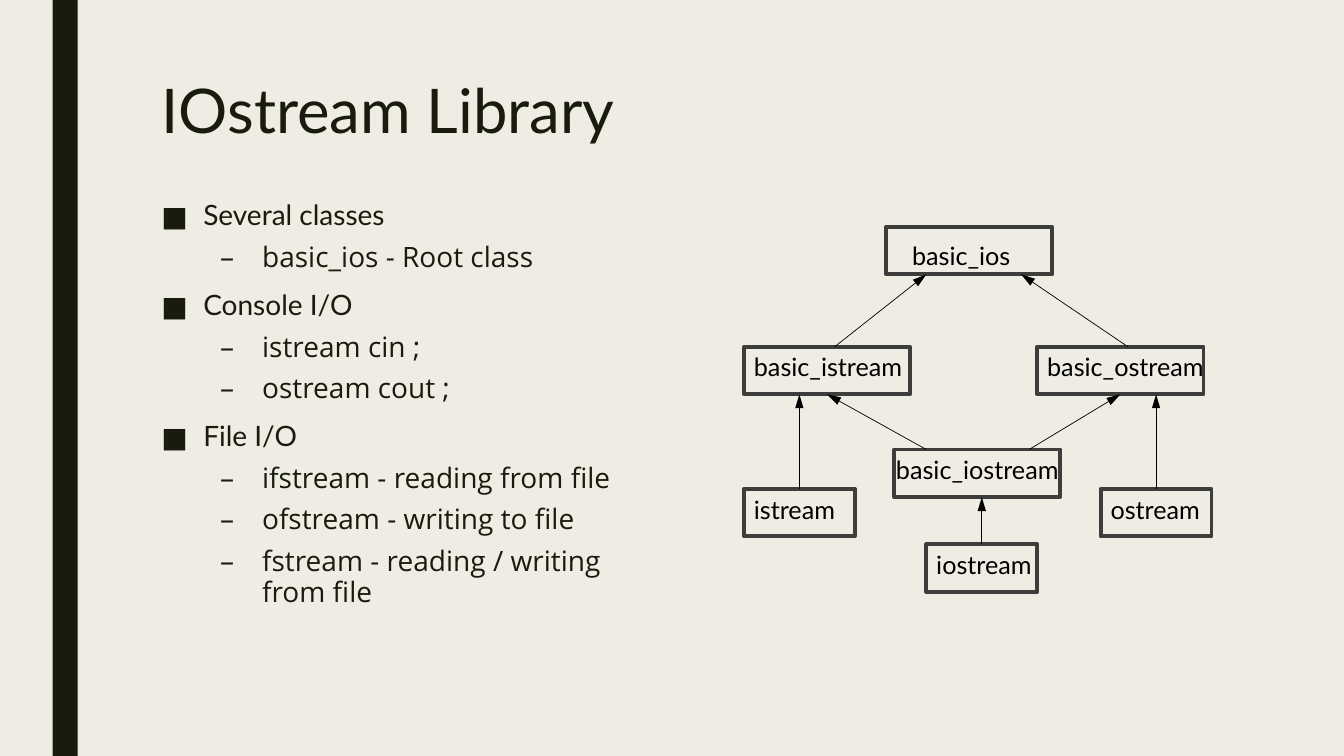
"""Build the IOstream Library slide with its class hierarchy diagram."""
from dataclasses import dataclass

from lxml.etree import SubElement
from pptx import Presentation
from pptx.dml.color import RGBColor
from pptx.enum.shapes import MSO_CONNECTOR as Conn, MSO_SHAPE as Shp
from pptx.enum.text import MSO_ANCHOR as Anchor, MSO_AUTO_SIZE as Auto, PP_ALIGN as Align
from pptx.oxml.ns import qn
from pptx.shapes.autoshape import Shape
from pptx.slide import Slide
from pptx.text.text import TextFrame, _Paragraph as Paragraph
from pptx.util import Pt


@dataclass(frozen=True)
class Theme:
    paper: RGBColor = RGBColor(0xEF, 0xED, 0xE3)
    ink: RGBColor = RGBColor(0x19, 0x1B, 0x0E)
    frame: RGBColor = RGBColor(0x3D, 0x3E, 0x3B)
    black: RGBColor = RGBColor(0, 0, 0)
    head_font: str = "Lato"
    sub_font: str = "Open Sans"
    title_size: float = 44
    body_size: float = 20
    label_size: float = 18
    frame_width: float = 2.75
    arrow_width: float = 0.5


@dataclass(frozen=True)
class ListLevel:
    font: str
    bullet: str
    indent: float
    before: float


@dataclass(frozen=True)
class ClassBox:
    name: str
    x: float
    y: float
    w: float
    label_w: float
    dx: float = 0
    dy: float = 0


@dataclass(frozen=True)
class Arrow:
    child: str
    parent: str
    x1: float
    y1: float
    x2: float
    y2: float
    from_middle: bool = False
    to_middle: bool = False


THEME = Theme()
TOP, BOTTOM = 0, 2
BOX_H, LABEL_H = 34, 29
WIDE, NARROW = 118.8, 79.2
LONG_LABEL, SHORT_LABEL = 132, 96.5
LEFT_X, RIGHT_X = 531.4, 740.9
ROOT_Y, STREAM_Y, BOTH_Y, LEAF_Y, LOW_Y = 162, 247.7, 321.1, 349.2, 388.8
LEVELS = [
    ListLevel(THEME.head_font, "■", 30, 10),
    ListLevel(THEME.sub_font, "–", 72, 5),
]
HANGING = 30
OUTLINE = {
    "Several classes": ["basic_ios - Root class"],
    "Console I/O": ["istream cin ;", "ostream cout ;"],
    "File I/O": [
        "ifstream - reading from file",
        "ofstream - writing to file",
        "fstream - reading / writing from file",
    ],
}
BOXES = [
    ClassBox("basic_ostream", RIGHT_X, STREAM_Y, WIDE, LONG_LABEL),
    ClassBox("basic_istream", LEFT_X, STREAM_Y, WIDE, LONG_LABEL),
    ClassBox("basic_ios", 632.9, ROOT_Y, WIDE, SHORT_LABEL, 11.5, 5.8),
    ClassBox("basic_iostream", 638.6, BOTH_Y, WIDE, LONG_LABEL, -5.7),
    ClassBox("iostream", 661.7, LOW_Y, NARROW, SHORT_LABEL),
    ClassBox("istream", LEFT_X, LEAF_Y, NARROW, SHORT_LABEL),
    ClassBox("ostream", 786.2, LEAF_Y, NARROW, SHORT_LABEL),
]
ARROWS = [
    Arrow("basic_istream", "basic_ios", 596.2, STREAM_Y, 661.7, ROOT_Y + BOX_H),
    Arrow("basic_ostream", "basic_ios", 805.7, STREAM_Y, 729.4, ROOT_Y + BOX_H),
    Arrow("basic_iostream", "basic_istream", 661.7, BOTH_Y, 590.8, STREAM_Y + BOX_H, to_middle=True),
    Arrow("basic_iostream", "basic_ostream", 735.1, BOTH_Y, 800.3, STREAM_Y + BOX_H, to_middle=True),
    Arrow("istream", "basic_istream", 571, LEAF_Y, 571, STREAM_Y + BOX_H, from_middle=True),
    Arrow("ostream", "basic_ostream", 825.8, LEAF_Y, 825.8, STREAM_Y + BOX_H, from_middle=True),
    Arrow("iostream", "basic_iostream", 701.3, LOW_Y, 701.3, BOTH_Y + BOX_H, from_middle=True),
]


def add_run(p: Paragraph, text: str, font: str, size: float, color: RGBColor) -> None:
    r = p.add_run()
    r.text = text
    r.font.name = font
    r.font.size = Pt(size)
    r.font.color.rgb = color


def place(sp: Shape, x: float, y: float, w: float, h: float) -> TextFrame:
    sp.left, sp.top, sp.width, sp.height = Pt(x), Pt(y), Pt(w), Pt(h)
    tf = sp.text_frame
    tf.word_wrap = True
    tf.auto_size = Auto.NONE
    tf.vertical_anchor = Anchor.TOP
    return tf


def add_item(p: Paragraph, text: str, depth: int) -> None:
    level = LEVELS[depth]
    p.level = depth
    p.line_spacing = 0.94
    p.space_before, p.space_after = Pt(level.before), Pt(2)
    pPr = p._p.get_or_add_pPr()
    pPr.set("marL", str(Pt(level.indent)))
    pPr.set("indent", str(-Pt(HANGING)))
    SubElement(pPr, qn("a:buFont")).set("typeface", level.font)
    SubElement(pPr, qn("a:buChar")).set("char", level.bullet)
    add_run(p, text, level.font, THEME.body_size, THEME.ink)


def fill_placeholders(s: Slide) -> None:
    tf = place(s.shapes.title, 108, 54, 756, 57.6)
    p = tf.paragraphs[0]
    p.alignment = Align.LEFT
    p.line_spacing = 0.89
    add_run(p, "IOstream Library", THEME.head_font, THEME.title_size, THEME.ink)
    tf = place(s.placeholders[1], 108, 139.7, 350, 322.6)
    items = [item for head, subs in OUTLINE.items()
             for item in [(head, 0), *((sub, 1) for sub in subs)]]
    for i, (text, depth) in enumerate(items):
        add_item(tf.add_paragraph() if i else tf.paragraphs[0], text, depth)


def add_rect(s: Slide, x: float, y: float, w: float, h: float) -> Shape:
    sp = s.shapes.add_shape(Shp.RECTANGLE, Pt(x), Pt(y), Pt(w), Pt(h))
    sp.shadow.inherit = False
    return sp


def add_box(s: Slide, box: ClassBox) -> Shape:
    sp = add_rect(s, box.x, box.y, box.w, BOX_H)
    sp.fill.background()
    sp.line.color.rgb = THEME.frame
    sp.line.width = Pt(THEME.frame_width)
    label = s.shapes.add_textbox(Pt(box.x + box.dx), Pt(box.y + box.dy), Pt(box.label_w), Pt(LABEL_H))
    tf = label.text_frame
    tf.word_wrap = True
    tf.auto_size = Auto.SHAPE_TO_FIT_TEXT
    add_run(tf.paragraphs[0], box.name, THEME.head_font, THEME.label_size, THEME.black)
    return sp


def add_arrow(s: Slide, arrow: Arrow, boxes: dict[str, Shape]) -> None:
    c = s.shapes.add_connector(Conn.STRAIGHT, Pt(arrow.x1), Pt(arrow.y1), Pt(arrow.x2), Pt(arrow.y2))
    if arrow.from_middle:
        c.begin_connect(boxes[arrow.child], TOP)
    if arrow.to_middle:
        c.end_connect(boxes[arrow.parent], BOTTOM)
    c.line.color.rgb = THEME.black
    c.line.width = Pt(THEME.arrow_width)
    spPr = c._element.spPr
    SubElement(spPr.find(qn("a:ln")), qn("a:tailEnd"), type="triangle", w="med", len="lg")
    SubElement(spPr, qn("a:effectLst"))


def main() -> None:
    prs = Presentation()
    prs.slide_width, prs.slide_height = Pt(960), Pt(540)
    s = prs.slides.add_slide(prs.slide_layouts[1])
    s.background.fill.solid()
    s.background.fill.fore_color.rgb = THEME.paper
    bar = add_rect(s, 37.5, 0, 18, 540)
    bar.fill.solid()
    bar.fill.fore_color.rgb = THEME.ink
    bar.line.fill.background()
    fill_placeholders(s)
    boxes = {box.name: add_box(s, box) for box in BOXES}
    for arrow in ARROWS:
        add_arrow(s, arrow, boxes)
    prs.save("out.pptx")


if __name__ == "__main__":
    main()
